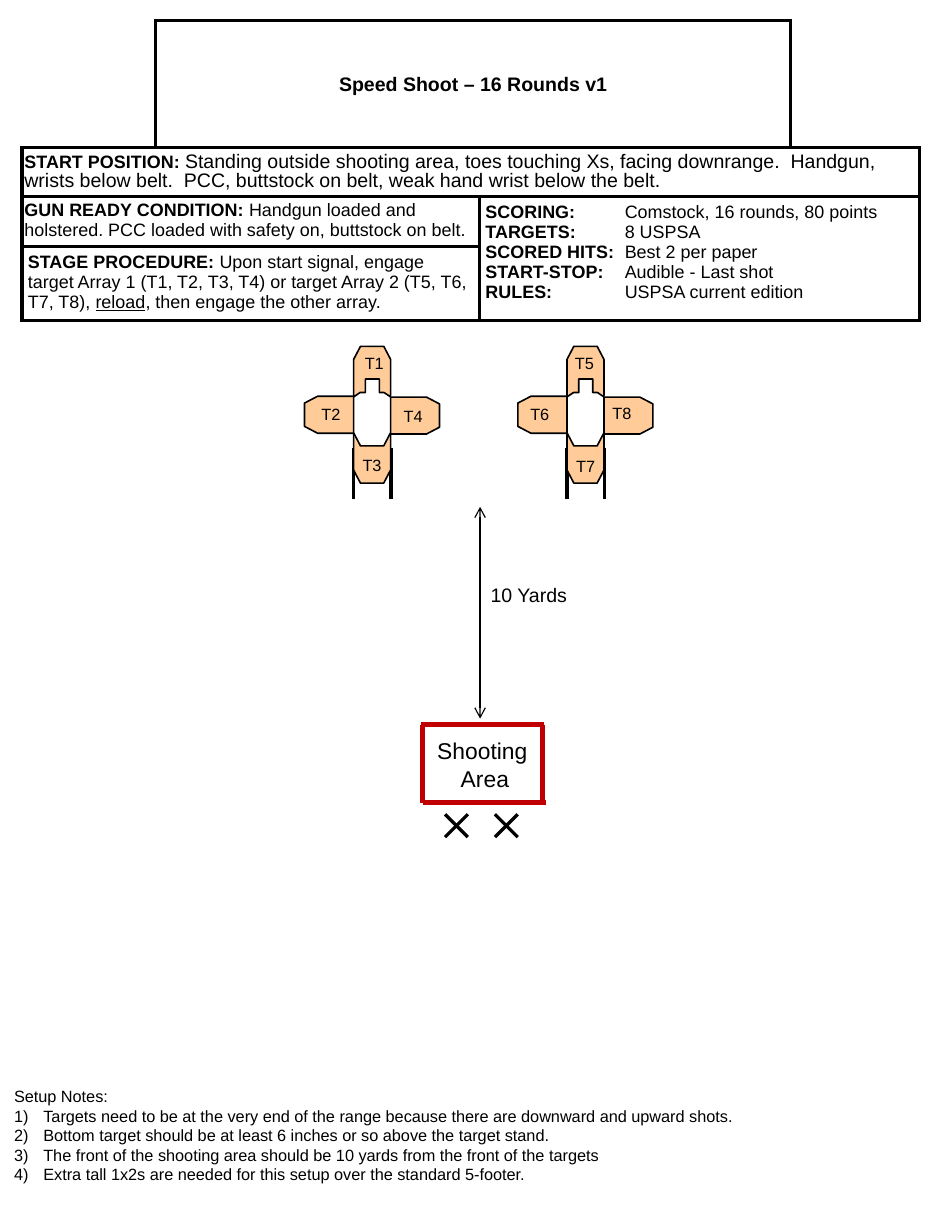
"""Build the one-page stage diagram for a speed shoot."""
from dataclasses import dataclass
from typing import Any

from lxml import etree
from pptx import Presentation
from pptx import util as u
from pptx.dml.color import RGBColor
from pptx.enum import shapes, text
from pptx.oxml.ns import qn

BLACK, WHITE, TAN, RED = "000000", "FFFFFF", "FFCC99", "C00000"
LEFT, CENTER = text.PP_ALIGN.LEFT, text.PP_ALIGN.CENTER
OUTLINE = [(7.2, 0), (15.8, 0), (15.8, 8.3), (18.7, 8.3), (22.7, 11), (22.7, 33),
           (18.5, 41), (4.2, 41), (0, 33), (0, 11), (4, 8.3), (7.2, 8.3)]


@dataclass
class Run:
    text: str
    size: float = 11
    bold: bool = False
    underline: bool = False


@dataclass
class Block:
    row: int
    col: int
    last_row: int
    last_col: int
    margin_x: float
    margin_y: float
    paragraphs: list[list[Run]]


@dataclass
class Target:
    dx: float
    y: float
    rotation: int
    color: str = TAN


@dataclass
class Label:
    text: str
    x: float
    y: float
    w: float = 26
    h: float = 19.5
    size: float = 10
    align: Any = LEFT


@dataclass
class Line:
    x1: float
    y1: float
    x2: float
    y2: float
    color: str = BLACK
    width: float = 2.25
    arrows: bool = False


BLOCKS = [
    Block(0, 1, 0, 2, 3.6, 3.6, [[Run("Speed Shoot – 16 Rounds v1", 12, True)]]),
    Block(1, 0, 1, 3, 1.5, 2.9, [[
        Run("START POSITION: ", bold=True),
        Run("Standing outside shooting area, toes touching Xs, facing downrange.  Handgun, "
            "wrists below belt.  PCC, buttstock on belt, weak hand wrist below the belt.", 12)]]),
    Block(2, 0, 2, 1, 1.5, 2.2, [[
        Run("GUN READY CONDITION: ", bold=True),
        Run("Handgun loaded and holstered. PCC loaded with safety on, buttstock on belt.")]]),
    Block(2, 2, 3, 3, 3.6, 3.6, [[Run(name, bold=True), Run("\t" + value)] for name, value in [
        ("SCORING:", "Comstock, 16 rounds, 80 points"), ("TARGETS:", "8 USPSA"),
        ("SCORED HITS:", "Best 2 per paper"), ("START-STOP:", "Audible - Last shot"),
        ("RULES:", "USPSA current edition")]]),
    Block(3, 0, 3, 1, 3.6, 3.6, [[
        Run("STAGE PROCEDURE: ", bold=True),
        Run("Upon start signal, engage target Array 1 (T1, T2, T3, T4) or target Array 2 "
            "(T5, T6, T7, T8), "),
        Run("reload", underline=True), Run(", then engage the other array.")]]),
]
SIDES = [Target(-21, 234, 90), Target(20.9, 234.5, 270), Target(0, 255.5, 0),
         Target(0, 212.5, 180), Target(0, 232.6, 0, WHITE)]
LABELS = [
    Label("10 Yards", 293.8, 354.2, 62, 21.6, 12),
    Label("Shooting\n Area", 260.6, 448.6, 70.6, 41, 14, CENTER),
    Label("T1", 216.7, 213.1), Label("T2", 190.1, 244.8),
    Label("T3", 215.3, 275.8), Label("T4", 240.5, 245.5),
    Label("T5", 345.6, 213.1), Label("T6", 318.2, 244.8),
    Label("T7", 346.3, 276.5), Label("T8", 368.6, 244.1),
]
LINES = [
    Line(294.5, 311, 294.5, 441, width=0.75, arrows=True),
    Line(258, 444.7, 333.5, 444.7, RED, 3), Line(259.2, 492.7, 334.8, 492.7, RED, 3),
    Line(332.6, 444.7, 332.6, 492.7, RED, 3), Line(259.2, 444.7, 259.2, 492.7, RED, 3),
]
NOTES = [
    "Setup Notes:",
    "Targets need to be at the very end of the range because there are downward and upward shots.",
    "Bottom target should be at least 6 inches or so above the target stand.",
    "The front of the shooting area should be 10 yards from the front of the targets",
    "Extra tall 1x2s are needed for this setup over the standard 5-footer.",
]


def paint(fill: Any, color: str) -> None:
    fill.solid()
    fill.fore_color.rgb = RGBColor.from_string(color)


def style(r: Any, size: float, bold: bool = False, underline: bool = False) -> None:
    r.font.name, r.font.size = "Arial", u.Pt(size)
    r.font.bold, r.font.underline = bold, underline
    paint(r.font.fill, BLACK)


def draw_border(cell: Any, sides: str) -> None:
    pr = cell._tc.get_or_add_tcPr()
    for i, side in enumerate("LRTB"):
        ln = etree.Element(qn(f"a:ln{side}"), w=str(u.Pt(2.25)))
        if side in sides:
            fill = etree.SubElement(ln, qn("a:solidFill"))
            etree.SubElement(fill, qn("a:srgbClr"), val=BLACK)
        else:
            etree.SubElement(ln, qn("a:noFill"))
        pr.insert(i, ln)


def fill_block(table: Any, block: Block) -> None:
    cell = table.cell(block.row, block.col)
    cell.merge(table.cell(block.last_row, block.last_col))
    cell.margin_left = cell.margin_right = u.Pt(block.margin_x)
    cell.margin_top = cell.margin_bottom = u.Pt(block.margin_y)
    tf = cell.text_frame
    for i, runs in enumerate(block.paragraphs):
        p = tf.add_paragraph() if i else tf.paragraphs[0]
        if any("\t" in run.text for run in runs):
            tabs = etree.SubElement(p._p.get_or_add_pPr(), qn("a:tabLst"))
            etree.SubElement(tabs, qn("a:tab"), pos=str(u.Pt(85.5)), algn="l")
        for run in runs:
            r = p.add_run()
            r.text = run.text
            style(r, run.size, run.bold, run.underline)


def draw_table(s: Any) -> None:
    widths, heights = [82, 198.7, 191, 79], [78, 30, 30.5, 45.6]
    frame = s.shapes.add_table(4, 4, u.Pt(13.5), u.Pt(12.7), u.Pt(sum(widths)), u.Pt(sum(heights)))
    table = frame.table
    table.first_row = table.horz_banding = False
    for col, width in zip(table.columns, widths):
        col.width = u.Pt(width)
    for row, height in zip(table.rows, heights):
        row.height = u.Pt(height)
    for r in range(4):
        for c in range(4):
            paint(table.cell(r, c).fill, WHITE)
            draw_border(table.cell(r, c), {(0, 0): "RB", (0, 3): "LB"}.get((r, c), "LRTB"))
    for block in BLOCKS:
        fill_block(table, block)
    title = table.cell(0, 1)
    title.vertical_anchor = text.MSO_ANCHOR.MIDDLE
    title.text_frame.paragraphs[0].alignment = CENTER
    table.cell(1, 0).text_frame.paragraphs[0].line_spacing = 0.9


def draw_line(parent: Any, line: Line) -> None:
    ends = [u.Pt(v) for v in (line.x1, line.y1, line.x2, line.y2)]
    sp = parent.add_connector(shapes.MSO_CONNECTOR.STRAIGHT, *ends)
    paint(sp.line.fill, line.color)
    sp.line.width = u.Pt(line.width)
    if line.arrows:
        for end in ("headEnd", "tailEnd"):
            etree.SubElement(sp.line._get_or_add_ln(), qn(f"a:{end}"), type="arrow")
    etree.SubElement(sp._element.spPr, qn("a:effectLst"))


def draw_target(parent: Any, x: float, target: Target) -> None:
    points = [(u.Pt(px), u.Pt(py)) for px, py in OUTLINE]
    builder = parent.build_freeform(*points[0])
    builder.add_line_segments(points[1:], close=True)
    sp = builder.convert_to_shape(u.Pt(x + target.dx), u.Pt(target.y))
    sp.rotation = target.rotation
    sp.shadow.inherit = False
    paint(sp.fill, target.color)
    paint(sp.line.fill, BLACK)
    sp.line.width = u.Pt(1)


def draw_array(s: Any, x: float) -> None:
    group = s.shapes.add_group_shape().shapes
    for post in (x, x + 23):
        draw_line(group, Line(post, 275, post, 306.5))
    for target in SIDES:
        draw_target(group, x, target)


def draw_cross(s: Any, x: float, y: float, size: float) -> None:
    group = s.shapes.add_group_shape().shapes
    draw_line(group, Line(x, y, x + size, y + size, width=2))
    draw_line(group, Line(x, y + size, x + size, y, width=2))


def draw_label(s: Any, label: Label) -> None:
    sp = s.shapes.add_textbox(*map(u.Pt, (label.x, label.y, label.w, label.h)))
    tf = sp.text_frame
    tf.text, tf.word_wrap = label.text, False
    for p in tf.paragraphs:
        p.alignment = label.align
        style(p.runs[0], label.size)


def write_notes(sp: Any) -> None:
    sp.left, sp.top, sp.width, sp.height = map(u.Pt, (1.4, 663, 458.6, 67.7))
    tf = sp.text_frame
    tf.text, tf.word_wrap, tf.auto_size = "\n".join(NOTES), True, text.MSO_AUTO_SIZE.NONE
    for i, p in enumerate(tf.paragraphs):
        p.space_before = u.Pt(0)
        pr = p._p.get_or_add_pPr()
        indent = u.Pt(18) if i else 0
        pr.set("marL", str(indent))
        pr.set("indent", str(-indent))
        if i:
            etree.SubElement(pr, qn("a:buFont"), typeface="+mj-lt")
            etree.SubElement(pr, qn("a:buAutoNum"), type="arabicParenR")
        else:
            etree.SubElement(pr, qn("a:buNone"))
        style(p.runs[0], 10)


def main() -> None:
    prs = Presentation()
    prs.slide_width, prs.slide_height = u.Pt(576), u.Pt(756)
    s = prs.slides.add_slide(prs.slide_layouts[1])
    title = s.shapes.title._element
    title.getparent().remove(title)
    write_notes(s.placeholders[1])
    draw_table(s)
    for x in (216.9, 347.8):
        draw_array(s, x)
    for line in LINES:
        draw_line(s.shapes, line)
    for x in (273, 303.6):
        draw_cross(s, x, 499.7, 14)
    for label in LABELS:
        draw_label(s, label)
    prs.save("out.pptx")


if __name__ == "__main__":
    main()
